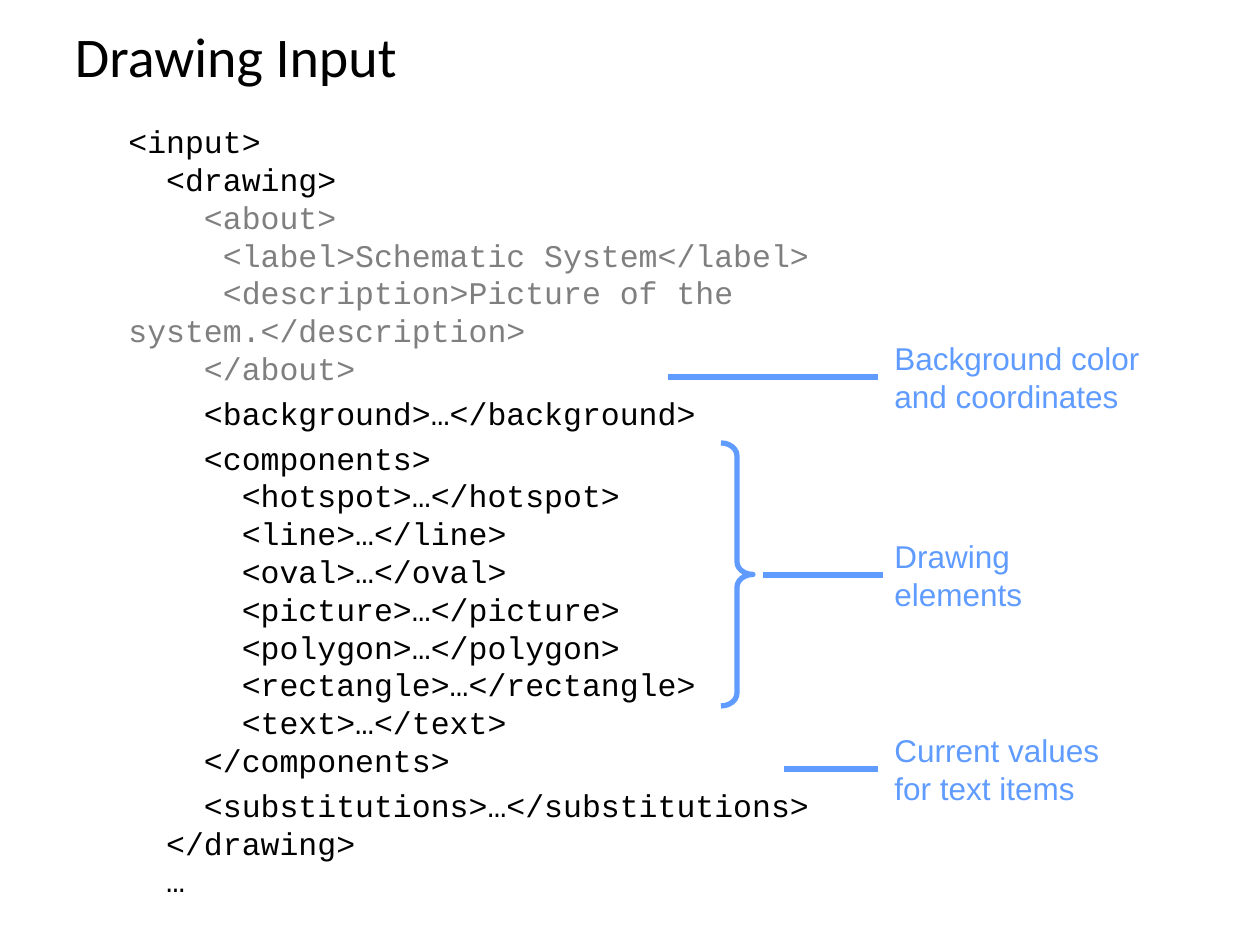
from dataclasses import dataclass

from lxml import etree
from pptx import Presentation
from pptx.dml.color import RGBColor
from pptx.enum.shapes import MSO_CONNECTOR, MSO_SHAPE
from pptx.enum.text import MSO_ANCHOR
from pptx.oxml.ns import qn
from pptx.util import Pt

STRAIGHT = MSO_CONNECTOR.STRAIGHT
RIGHT_BRACE = MSO_SHAPE.RIGHT_BRACE
TOP, MIDDLE = MSO_ANCHOR.TOP, MSO_ANCHOR.MIDDLE


@dataclass(frozen=True)
class Theme:
    black: str = "000000"
    grey: str = "7F7F7F"
    blue: str = "609CFF"
    title_font: str = "Calibri"
    code_font: str = "Courier New"
    label_font: str = "Arial"
    title_size: int = 32
    body_size: int = 18
    line_width: int = 3
    gap: int = 4


T = Theme()
PX = 914400 / 126

# Content: code lines as (text, colour, space before)
TITLE = "Drawing Input"
CODE = [
    ("<input>", T.black, 0),
    ("  <drawing>", T.black, 0),
    ("    <about>", T.grey, 0),
    ("     <label>Schematic System</label>", T.grey, 0),
    ("     <description>Picture of the system.</description>", T.grey, 0),
    ("    </about>", T.grey, 0),
    ("    <background>…</background>", T.black, T.gap),
    ("    <components>", T.black, T.gap),
    ("      <hotspot>…</hotspot>", T.black, 0),
    ("      <line>…</line>", T.black, 0),
    ("      <oval>…</oval>", T.black, 0),
    ("      <picture>…</picture>", T.black, 0),
    ("      <polygon>…</polygon>", T.black, 0),
    ("      <rectangle>…</rectangle>", T.black, 0),
    ("      <text>…</text>", T.black, 0),
    ("    </components>", T.black, 0),
    ("    <substitutions>…</substitutions>", T.black, T.gap),
    ("  </drawing>", T.black, 0),
    ("  …", T.black, 0),
]
# Callouts: label paragraphs, label width, line start, line end, line height on slide
CALLOUTS = [
    (["Drawing", "elements"], 170, 763, 883, 575),
    (["Background color", "and coordinates"], 285, 668, 878, 377),
    (["Current values\nfor text items"], 245, 784, 878, 769),
]
LABEL_LEFT, LABEL_HEIGHT = 882, 88
BRACE = (721, 443, 32, 263)


def px(*values):
    return [round(v * PX) for v in values]


def add_text(shapes, box, lines, font, size, anchor=TOP):
    """Add a text box; each line is (text, colour, space before)."""
    tf = shapes.add_textbox(*px(*box)).text_frame
    tf.word_wrap = True
    tf.vertical_anchor = anchor
    for i, (text, color, before) in enumerate(lines):
        p = tf.add_paragraph() if i else tf.paragraphs[0]
        p.space_before = Pt(before)
        for j, part in enumerate(text.split("\n")):
            if j:
                p.add_line_break()
            r = p.add_run()
            r.text = part
            r.font.name = font
            r.font.size = Pt(size)
            r.font.color.rgb = RGBColor.from_string(color)
    return tf


def style_line(line):
    line.color.rgb = RGBColor.from_string(T.blue)
    line.width = Pt(T.line_width)


def add_brace(shapes, box):
    sp = shapes.add_shape(RIGHT_BRACE, *px(*box))
    sp.adjustments[0], sp.adjustments[1] = 0.4, 0.5
    sp.shadow.inherit = False
    sp.fill.background()
    style_line(sp.line)


def add_callout(shapes, paragraphs, width, start, end, y):
    line = shapes.add_connector(STRAIGHT, *px(end, y, start, y))
    style_line(line.line)
    etree.SubElement(line._element.spPr, qn("a:effectLst"))
    box = (LABEL_LEFT, y - LABEL_HEIGHT // 2, width, LABEL_HEIGHT)
    add_text(shapes, box, [(text, T.blue, 0) for text in paragraphs],
             T.label_font, T.body_size)


def main():
    prs = Presentation()
    prs.slide_width, prs.slide_height = px(1260, 945)
    s = prs.slides.add_slide(prs.slide_layouts[6])

    # Title and code listing
    tf = add_text(s.shapes, (63, 10, 985, 88), [(TITLE, T.black, 0)],
                  T.title_font, T.title_size, MIDDLE)
    tf.margin_left, tf.margin_top, tf.margin_bottom = px(12, 6, 4)
    add_text(s.shapes, (116, 116, 801, 752), CODE, T.code_font, T.body_size)

    # Brace around the components, then the callouts
    add_brace(s.shapes, BRACE)
    for callout in CALLOUTS:
        add_callout(s.shapes, *callout)

    prs.save("out.pptx")


if __name__ == "__main__":
    main()
